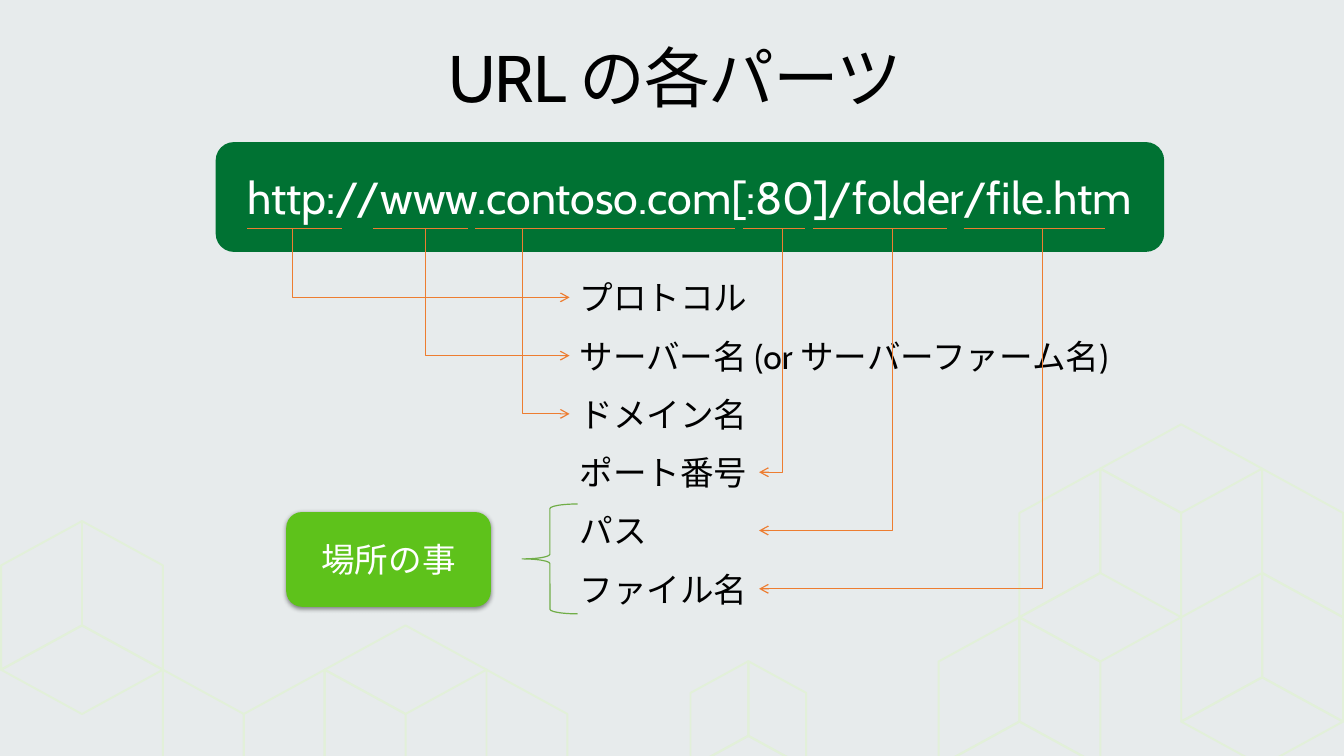
from dataclasses import dataclass

from pptx import Presentation
from pptx.dml.color import RGBColor
from pptx.enum.shapes import MSO_CONNECTOR, MSO_SHAPE
from pptx.enum.text import MSO_ANCHOR, MSO_AUTO_SIZE, PP_ALIGN
from pptx.oxml import parse_xml
from pptx.oxml.ns import nsdecls, qn
from pptx.oxml.xmlchemy import OxmlElement
from pptx.slide import Slide
from pptx.util import Emu, Inches, Pt

COLORS = {
    "background": "E7EBEC",
    "lattice": "E2F0D9",
    "ink": "000000",
    "white": "FFFFFF",
    "banner": "007233",
    "pointer": "ED7D31",
    "brace": "70AD47",
    "button": "5EC21B",
}
FONT = "Cabin"
SLIDE_WIDTH, SLIDE_HEIGHT = Inches(13.333), Inches(7.5)
THIN, LATTICE_LINE = 0.85, 1.38

# Lengths are percentages of the slide's width (x) and height (y)
UNDERLINE_Y = 30.27
LABEL_X, LABEL_TOP, LABEL_PITCH, LABEL_HEIGHT = 42.38, 36.0, 7.71, 6.67
RIGHT_TIP_X = 56.48
LATTICE_COLUMN, LATTICE_SLOPE, LATTICE_EDGE = 6.02, 5.86, 13.8

# Outline points: columns, slopes and upright edges away from the face's anchor
RHOMB = [(0, 0, 0), (1, 1, 0), (0, 2, 0), (-1, 1, 0)]
OUTLINES = {
    "rise": [[(1, 0, 1), (0, 1, 1), (0, 1, 0), (1, 0, 0)]],
    "fall": [[(0, 0, 1), (1, 1, 1), (1, 1, 0), (0, 0, 0)]],
    "rhomb": [RHOMB],
    "chevron": [[(1, 1, 0), (0, 0, 0), (-1, 1, 0)]],
    "cube": [
        [(0, 0, 0), (1, 1, 0), (1, 1, 1), (0, 2, 1), (-1, 1, 1), (0, 0, 1)],
        [(c + 1, s - 1, e) for c, s, e in RHOMB],
    ],
}


@dataclass(frozen=True)
class Face:
    kind: str
    column: int
    slopes: int
    edges: int


@dataclass(frozen=True)
class Cluster:
    x: float
    y: float
    scale: float
    faces: tuple[Face, ...]

    def point(self, column: int, slopes: int, edges: int) -> tuple[Emu, Emu]:
        drop = slopes * LATTICE_SLOPE + edges * LATTICE_EDGE
        return (across(self.x + self.scale * column * LATTICE_COLUMN),
                down(self.y + self.scale * drop))


@dataclass(frozen=True)
class UrlPart:
    meaning: tuple[str, ...]
    start: float
    end: float
    stem: float
    label_width: float
    points_right: bool


CLUSTERS = (
    Cluster(69.83, 56.13, 1, (
        Face("rise", 0, 2, 1), Face("fall", 1, 2, 1), Face("chevron", 1, 2, 2),
        Face("rise", 1, 1, 0), Face("cube", 2, 1, 0), Face("rise", 3, 1, 1),
        Face("fall", 4, 1, 1), Face("rhomb", 4, 1, 2), Face("fall", 4, 1, 0))),
    Cluster(0.08, 68.93, 1, (
        Face("rise", 3, 1, 1), Face("fall", 2, 1, 1), Face("fall", 1, 0, 0),
        Face("rise", 0, 0, 0), Face("rhomb", 1, 0, 1), Face("cube", 4, 1, 1),
        Face("fall", 6, 1, 1))),
    Cluster(51.38, 87.47, 0.715, (
        Face("rise", 0, 0, 0), Face("fall", 1, 0, 0), Face("chevron", 1, 0, 1))),
)
URL_PARTS = (
    UrlPart(("プロトコル",), 18.38, 25.43, 21.75, 26.4, True),
    UrlPart(("サーバー名", " (or ", "サーバーファーム名", ")"),
            27.75, 34.8, 31.65, 43.35, True),
    UrlPart(("ドメイン名",), 35.33, 54.68, 38.85, 43.35, True),
    UrlPart(("ポート番号",), 55.28, 59.93, 58.2, 14.1, False),
    UrlPart(("パス",), 60.53, 70.5, 66.38, 14.1, False),
    UrlPart(("ファイル名",), 71.7, 82.2, 77.55, 14.1, False),
)


def across(share: float) -> Emu:
    return Emu(round(SLIDE_WIDTH * share / 100))


def down(share: float) -> Emu:
    return Emu(round(SLIDE_HEIGHT * share / 100))


def box(x: float, y: float, width: float, height: float) -> tuple[Emu, ...]:
    return across(x), down(y), across(width), down(height)


def color(name: str) -> RGBColor:
    return RGBColor.from_string(COLORS[name])


def style_line(line, name: str, width: float) -> None:
    line.color.rgb = color(name)
    line.width = Pt(width)


def write(frame, words: tuple[str, ...], size: int, name: str,
          align: PP_ALIGN = PP_ALIGN.LEFT) -> None:
    paragraph = frame.paragraphs[0]
    paragraph.alignment = align
    for word in words:
        run = paragraph.add_run()
        run.text = word
        run.font.name = FONT
        run.font.size = Pt(size)
        run.font.color.rgb = color(name)


def add_line(slide: Slide, kind: MSO_CONNECTOR, ends: tuple[Emu, ...],
             name: str, width: float):
    connector = slide.shapes.add_connector(kind, *ends)
    style_line(connector.line, name, width)
    connector._element.spPr.append(OxmlElement("a:effectLst"))
    return connector


def add_cluster(slide: Slide, cluster: Cluster) -> None:
    for face in cluster.faces:
        contours = [
            [cluster.point(face.column + c, face.slopes + s, face.edges + e)
             for c, s, e in contour]
            for contour in OUTLINES[face.kind]
        ]
        builder = slide.shapes.build_freeform(*contours[0][0], scale=1.0)
        for index, (first, *rest) in enumerate(contours):
            if index:
                builder.move_to(*first)
            builder.add_line_segments(rest, close=face.kind != "chevron")
        outline = builder.convert_to_shape()
        outline.shadow.inherit = False
        outline.fill.background()
        style_line(outline.line, "lattice", LATTICE_LINE)


def add_pointer(slide: Slide, stem: float, tip: float, row_middle: float) -> None:
    """Arrow that drops from the underline, then turns towards its label."""
    x, y = across(stem), down(UNDERLINE_Y)
    run, drop = across(tip) - x, down(row_middle) - y
    # The one-bend connector lies on its side, turned about its centre
    left, top = x + (run - drop) // 2, y + (drop - abs(run)) // 2
    begin, end = (left + drop, left) if run > 0 else (left, left + drop)
    pointer = add_line(slide, MSO_CONNECTOR.ELBOW,
                       (begin, top, end, top + abs(run)), "pointer", THIN)
    properties = pointer._element.spPr
    properties.find(qn("a:xfrm")).set("rot", str((270 if run > 0 else 90) * 60000))
    properties.find(qn("a:prstGeom")).set("prst", "bentConnector2")
    head = OxmlElement("a:tailEnd")
    head.set("type", "arrow")
    properties.find(qn("a:ln")).append(head)


def add_url_part(slide: Slide, part: UrlPart, row: int) -> None:
    top = LABEL_TOP + row * LABEL_PITCH
    y = down(UNDERLINE_Y)
    add_line(slide, MSO_CONNECTOR.STRAIGHT,
             (across(part.start), y, across(part.end), y), "pointer", THIN)
    label = slide.shapes.add_textbox(
        *box(LABEL_X, top, part.label_width, LABEL_HEIGHT)).text_frame
    label.word_wrap = True
    label.auto_size = MSO_AUTO_SIZE.SHAPE_TO_FIT_TEXT
    write(label, part.meaning, 24, "ink")
    tip = LABEL_X if part.points_right else RIGHT_TIP_X
    add_pointer(slide, part.stem, tip, top + LABEL_HEIGHT / 2)


def add_panel(slide: Slide, area: tuple[Emu, ...], fill: str, words: str, size: int):
    panel = slide.shapes.add_shape(MSO_SHAPE.ROUNDED_RECTANGLE, *area)
    panel.shadow.inherit = False
    panel.fill.solid()
    panel.fill.fore_color.rgb = color(fill)
    panel.line.fill.background()
    panel.text_frame.word_wrap = True
    panel.text_frame.vertical_anchor = MSO_ANCHOR.MIDDLE
    write(panel.text_frame, (words,), size, "white", PP_ALIGN.CENTER)
    return panel


def add_title(slide: Slide) -> None:
    title = slide.shapes.add_textbox(*box(2.25, 4.27, 96, 13.07)).text_frame
    title.word_wrap = True
    title.vertical_anchor = MSO_ANCHOR.MIDDLE
    title.margin_left = title.margin_right = Inches(0.16)
    title.margin_top = title.margin_bottom = Inches(0.1)
    write(title, ("URL ", "の各パーツ"), 47, "ink", PP_ALIGN.CENTER)
    title.paragraphs[0].line_spacing = 0.9
    for run in title.paragraphs[0].runs:
        run.font._element.set("spc", "-100")


def add_location_note(slide: Slide) -> None:
    brace = slide.shapes.add_shape(MSO_SHAPE.LEFT_BRACE, *box(38.85, 66.67, 4.13, 14.53))
    brace.shadow.inherit = False
    brace.fill.background()
    style_line(brace.line, "brace", THIN)
    location = add_panel(slide, box(21.3, 67.73, 15.23, 12.53), "button", "場所の事", 24)
    location._element.spPr.find(qn("a:effectLst")).append(parse_xml(
        f'<a:outerShdw {nsdecls("a")} blurRad="{Pt(3.5)}" dist="{Pt(1.1)}" dir="5400000">'
        f'<a:srgbClr val="{COLORS["ink"]}"><a:alpha val="45000"/></a:srgbClr>'
        '</a:outerShdw>'))


def main() -> None:
    deck = Presentation()
    deck.slide_width, deck.slide_height = SLIDE_WIDTH, SLIDE_HEIGHT
    slide = deck.slides.add_slide(deck.slide_layouts[6])
    slide.background.fill.solid()
    slide.background.fill.fore_color.rgb = color("background")

    # Cube lattice behind the content
    for cluster in CLUSTERS:
        add_cluster(slide, cluster)
    lattice_ends = CLUSTERS[0].point(2, 1, 1) + CLUSTERS[0].point(3, 2, 1)
    add_line(slide, MSO_CONNECTOR.STRAIGHT, lattice_ends, "lattice", LATTICE_LINE)

    # Title, address and the meaning of each part
    add_title(slide)
    add_panel(slide, box(16.05, 18.8, 70.58, 14.53), "banner",
              "http://www.contoso.com[:80]/folder/file.htm", 32)
    for row, part in enumerate(URL_PARTS):
        add_url_part(slide, part, row)
    add_location_note(slide)
    deck.save("out.pptx")


if __name__ == "__main__":
    main()
